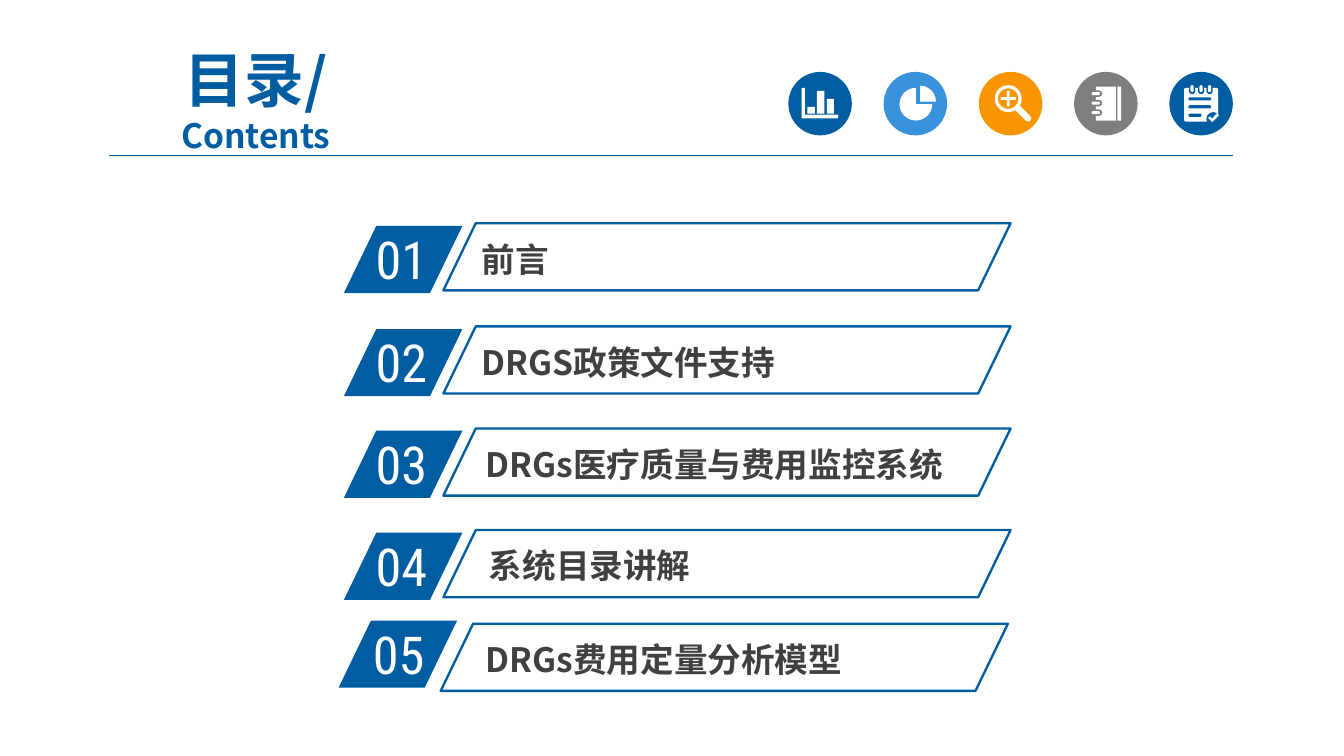
from lxml import etree
from pptx import Presentation
from pptx.dml.color import RGBColor
from pptx.enum.shapes import MSO_CONNECTOR, MSO_SHAPE
from pptx.enum.text import MSO_ANCHOR, PP_ALIGN
from pptx.oxml.ns import qn
from pptx.util import Cm, Pt

BLUE = RGBColor(0x00, 0x5D, 0xA2)
RULE_BLUE = RGBColor(0x00, 0x5B, 0x9E)
LIGHT_BLUE = RGBColor(0x39, 0x92, 0xDB)
ORANGE = RGBColor(0xF7, 0x96, 0x00)
GRAY = RGBColor(0x7F, 0x7F, 0x7F)
DARK = RGBColor(0x40, 0x40, 0x40)
WHITE = RGBColor(0xFF, 0xFF, 0xFF)

CJK_FONT = "Noto Sans CJK SC"
NUMBER_FONT = "Roboto Condensed"

RECT = MSO_SHAPE.RECTANGLE
ROUND = MSO_SHAPE.ROUNDED_RECTANGLE
OVAL = MSO_SHAPE.OVAL
PIE = MSO_SHAPE.PIE
DONUT = MSO_SHAPE.DONUT
CROSS = MSO_SHAPE.CROSS
SLANT = MSO_SHAPE.PARALLELOGRAM
STRAIGHT = MSO_CONNECTOR.STRAIGHT
MIDDLE = MSO_ANCHOR.MIDDLE
CENTER = PP_ALIGN.CENTER

prs = Presentation()
prs.slide_width, prs.slide_height = Cm(25.4), Cm(14.29)
s = prs.slides.add_slide(prs.slide_layouts[5])


def add_shape(kind, x, y, w, h, fill=None, line=None, adj=()):
    """Add a flat preset shape, with lengths in centimetres."""
    sp = s.shapes.add_shape(kind, Cm(x), Cm(y), Cm(w), Cm(h))
    sp.shadow.inherit = False
    if fill is None:
        sp.fill.background()
    else:
        sp.fill.solid()
        sp.fill.fore_color.rgb = fill
    if line is None:
        sp.line.fill.background()
    else:
        sp.line.color.rgb = line
        sp.line.width = Pt(1.25)
    for i, value in enumerate(adj):
        sp.adjustments[i] = value
    return sp


def write(p, text, size, color, font=CJK_FONT, bold=False):
    """Add a run whose font also covers East Asian characters."""
    r = p.add_run()
    r.text = text
    r.font.size = Pt(size)
    r.font.bold = bold
    r.font.name = font
    r.font.color.rgb = color
    etree.SubElement(r.font._element, qn("a:ea")).set("typeface", font)


# Title and rule
title = s.shapes.title
title.left, title.top, title.width, title.height = Cm(1.7), Cm(1.19), Cm(6.27), Cm(1.37)
tf = title.text_frame
tf.word_wrap = True
tf.vertical_anchor = MIDDLE
for p, text, size, before in (
    (tf.paragraphs[0], "目录/", 32, 4),
    (tf.add_paragraph(), "Contents", 18, 0),
):
    p.alignment = CENTER
    p.line_spacing = 1.0
    p.space_before = Pt(before)
    write(p, text, size, BLUE, bold=True)

rule = s.shapes.add_connector(STRAIGHT, Cm(2.06), Cm(2.94), Cm(23.3), Cm(2.94))
rule.line.color.rgb = RULE_BLUE
rule.line.width = Pt(0.75)
etree.SubElement(rule._element.spPr, qn("a:effectLst"))

# Round icons: glyph parts are placed relative to their disc
ICON_X, ICON_Y, ICON_SIZE, ICON_PITCH = 14.9, 1.36, 1.2, 1.8
pie_chart = [
    (PIE, 0.3, 0.3, 0.62, 0.62, WHITE),
    (PIE, 0.39, 0.26, 0.6, 0.6, WHITE, None, (162, 0)),
]
magnifier = [
    (DONUT, 0.3, 0.25, 0.51, 0.51, WHITE, None, (0.12,)),
    (CROSS, 0.41, 0.36, 0.29, 0.29, WHITE, None, (0.41,)),
]
notebook = [
    (RECT, 0.41, 0.28, 0.38, 0.64, WHITE),
    (RECT, 0.82, 0.28, 0.07, 0.64, WHITE),
]
for y in (0.38, 0.56, 0.74):
    notebook += [
        (ROUND, 0.33, y - 0.03, 0.2, 0.12, GRAY, None, (0.5,)),
        (ROUND, 0.33, y, 0.16, 0.06, WHITE, None, (0.5,)),
    ]
notepad = [(ROUND, 0.28, 0.3, 0.64, 0.64, WHITE, None, (0.05,))]
for x in (0.37, 0.54, 0.7):
    notepad += [
        (ROUND, x, 0.27, 0.12, 0.15, BLUE, None, (0.5,)),
        (ROUND, x + 0.03, 0.25, 0.06, 0.13, WHITE, None, (0.5,)),
    ]
for y, width in ((0.48, 0.43), (0.63, 0.43), (0.79, 0.25)):
    notepad.append((ROUND, 0.36, y, width, 0.06, BLUE, None, (0.5,)))
notepad.append((OVAL, 0.7, 0.76, 0.26, 0.26, BLUE))

icons = [
    (BLUE, []),
    (LIGHT_BLUE, pie_chart),
    (ORANGE, magnifier),
    (GRAY, notebook),
    (BLUE, notepad),
]
for i, (color, parts) in enumerate(icons):
    left = ICON_X + i * ICON_PITCH
    add_shape(OVAL, left, ICON_Y, ICON_SIZE, ICON_SIZE, color)
    for kind, x, y, *rest in parts:
        add_shape(kind, left + x, ICON_Y + y, *rest)

handle_x = ICON_X + 2 * ICON_PITCH + 0.63
handle = add_shape(ROUND, handle_x, ICON_Y + 0.72, 0.4, 0.12, WHITE, adj=(0.5,))
handle.rotation = 45

# Outlines for the bar chart and the notepad's tick, in hundredths of a centimetre
bar_chart = [[(25, 30), (31, 30), (31, 81), (94, 81), (94, 88), (25, 88)]]
for x1, x2, top in ((36, 50, 66), (54, 68, 36), (73, 86, 51)):
    bar_chart.append([(x1, top), (x2, top), (x2, 79), (x1, 79)])
tick = [[(73, 87), (77, 84), (81, 88), (90, 78), (94, 82), (81, 95)]]
for i, contours in ((0, bar_chart), (4, tick)):
    fb = s.shapes.build_freeform(*contours[0][0], scale=Cm(0.01))
    for n, points in enumerate(contours):
        if n:
            fb.move_to(*points[0])
        fb.add_line_segments(points[1:])
    sp = fb.convert_to_shape(Cm(ICON_X + i * ICON_PITCH), Cm(ICON_Y))
    sp.shadow.inherit = False
    sp.fill.solid()
    sp.fill.fore_color.rgb = WHITE
    sp.line.fill.background()

# Contents rows: tile left and top, number left, frame left and top, label left
rows = [
    ("前言", 6.5, 4.27, 6.85, 8.38, 4.22, 8.92),
    ("DRGS政策文件支持", 6.5, 6.22, 6.85, 8.38, 6.17, 8.92),
    ("DRGs医疗质量与费用监控系统", 6.5, 8.14, 6.85, 8.38, 8.1, 9),
    ("系统目录讲解", 6.5, 10.07, 6.85, 8.38, 10.02, 9.06),
    ("DRGs费用定量分析模型", 6.4, 11.73, 6.8, 8.33, 11.79, 9),
]
for i, (label, tile_x, tile_y, number_x, frame_x, frame_y, label_x) in enumerate(rows, 1):
    add_shape(SLANT, tile_x, tile_y, 2.24, 1.27, BLUE, adj=(0.482,))
    number = s.shapes.add_textbox(Cm(number_x), Cm(tile_y - 0.1), Cm(2.13), Cm(1.45))
    number.text_frame.word_wrap = True
    write(number.text_frame.paragraphs[0], f"{i:02}", 28, WHITE, font=NUMBER_FONT)

    box = s.shapes.add_textbox(Cm(label_x), Cm(frame_y + 0.19), Cm(10.06), Cm(0.97))
    tf = box.text_frame
    tf.word_wrap = True
    tf.margin_left = tf.margin_right = Cm(0.18)
    tf.margin_top = tf.margin_bottom = Cm(0.1)
    write(tf.paragraphs[0], label, 18, DARK, bold=True)
    add_shape(SLANT, frame_x, frame_y, 10.72, 1.27, line=BLUE, adj=(0.482,))

prs.save("out.pptx")
